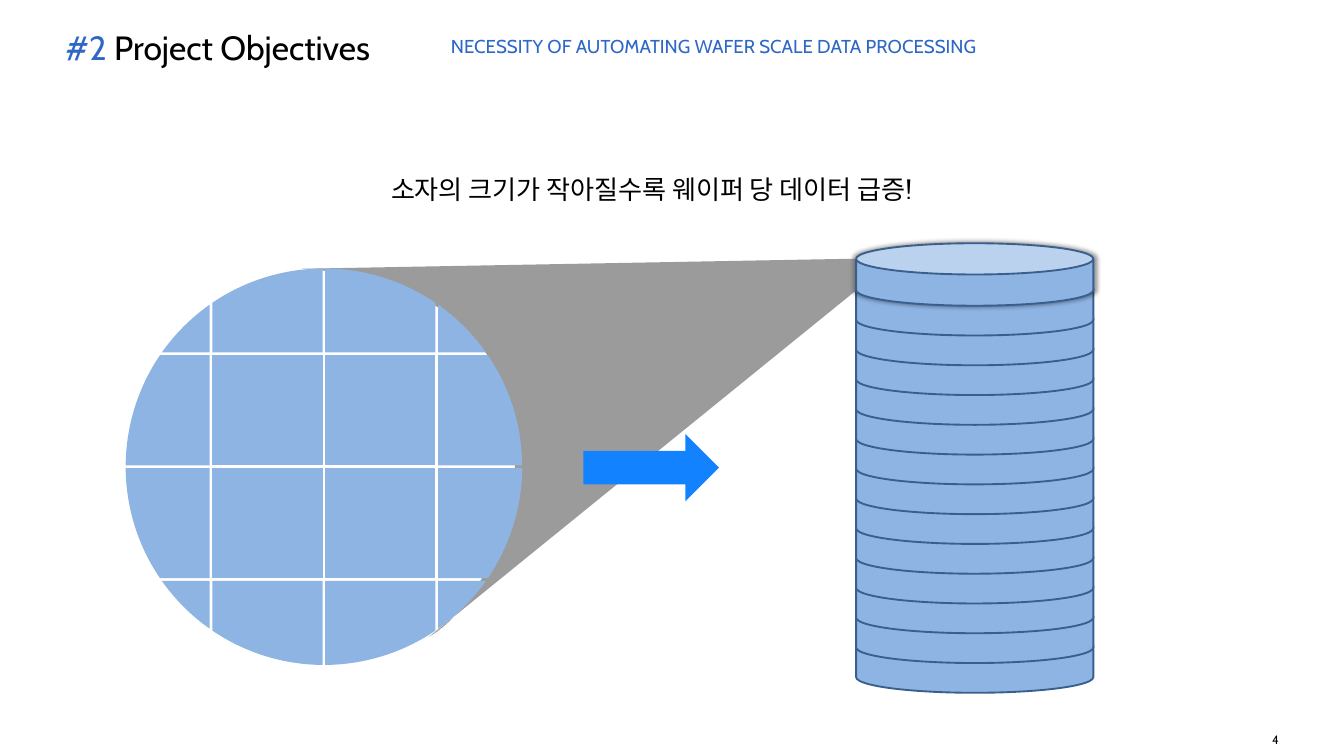
import math
from dataclasses import dataclass

from lxml import etree
from pptx import Presentation
from pptx import util as u
from pptx.dml.color import RGBColor
from pptx.enum import shapes, text
from pptx.oxml.ns import qn


@dataclass(frozen=True)
class Theme:
    font: str = "Cabin"
    accent: str = "2E67C6"
    ink: str = "000000"
    paper: str = "FFFFFF"
    wafer: str = "8EB4E3"
    edge: str = "3A5F8C"
    beam: str = "595959"
    arrow: str = "1382FF"
    title: int = 36
    message: int = 28
    subtitle: int = 20
    number: int = 13


THEME = Theme()
GROW = text.MSO_AUTO_SIZE.SHAPE_TO_FIT_TEXT


def set_all(target, values):
    for name, value in values.items():
        setattr(target, name, value)


def inches(*lengths):
    return [u.Inches(length) for length in lengths]


def paint(shape, fill, line=None, width=2):
    shape.shadow.inherit = False
    shape.fill.solid()
    shape.fill.fore_color.rgb = RGBColor.from_string(fill)
    if line:
        shape.line.color.rgb = RGBColor.from_string(line)
        shape.line.width = u.Pt(width)
    else:
        shape.line.fill.background()
    return shape


def add_shape(parent, kind, box, fill, line=None):
    return paint(parent.shapes.add_shape(kind, *inches(*box)), fill, line)


def add_outline(page, points, fill, curve_at=None):
    """Closed outline; the three points from index curve_at form a Bézier curve."""
    start, *rest = [inches(*point) for point in points]
    builder = page.shapes.build_freeform(*start)
    builder.add_line_segments(rest, close=True)
    shape = builder.convert_to_shape()
    if curve_at:
        lines = list(shape._element.iter(qn("a:lnTo")))[curve_at - 1:curve_at + 2]
        curve = etree.Element(qn("a:cubicBezTo"))
        lines[0].addprevious(curve)
        for line in lines:
            curve.append(line[0])
            line.getparent().remove(line)
    return paint(shape, fill)


def add_text(page, box, spans, size, align=text.PP_ALIGN.LEFT, **frame_format):
    frame = page.shapes.add_textbox(*inches(*box)).text_frame
    set_all(frame, {"word_wrap": True, **frame_format})
    para = frame.paragraphs[0]
    para.alignment = align
    for words, color in spans:
        span = para.add_run()
        span.text = words
        set_all(span.font, {"size": u.Pt(size), "name": THEME.font})
        span.font.color.rgb = RGBColor.from_string(color)
        etree.SubElement(span.font._element, qn("a:ea"), typeface=THEME.font)


def add_header(page, box):
    left, top, width, height = box
    title_width = 6.48
    add_text(page, (left + title_width, top + 0.13, width - title_width, 0.44),
             [("NECESSITY OF AUTOMATING WAFER SCALE DATA PROCESSING", THEME.accent)],
             THEME.subtitle, margin_left=u.Inches(0.23), auto_size=GROW)
    add_text(page, (left, top, title_width, height),
             [("#2 ", THEME.accent), ("Project Objectives", THEME.ink)],
             THEME.title, text.PP_ALIGN.CENTER, auto_size=GROW,
             vertical_anchor=text.MSO_ANCHOR.MIDDLE)


def add_stack(page, box, count=14, can_height=0.93):
    """Pile cans from the bottom up; the top one casts a shadow."""
    left, top, width, height = box
    step = (height - can_height) / (count - 1)
    stack = page.shapes.add_group_shape()
    for level in reversed(range(count)):
        can = add_shape(stack, shapes.MSO_SHAPE.CAN,
                        (left, top + level * step, width, can_height),
                        THEME.wafer, THEME.edge)
        can.adjustments[0] = 0.5
    effects = can._element.spPr.find(qn("a:effectLst"))
    shadow = etree.SubElement(effects, qn("a:outerShdw"), blurRad=str(u.Pt(5)),
                              sx="102000", sy="102000", algn="ctr", rotWithShape="0")
    color = etree.SubElement(shadow, qn("a:srgbClr"), val=THEME.ink)
    etree.SubElement(color, qn("a:alpha"), val="40000")


def add_beam(page, box):
    """Translucent projection from the wafer to the top can."""
    left, top, width, height = box
    right, bottom = left + width, top + height
    start = (left, top + 0.15)
    beam = add_outline(page, [start, (right, top), (right, top + 0.48),
                              (left + 1.88, bottom), (left + 3.29, bottom - 0.81),
                              (left + 4.51, top + 0.44), start], THEME.beam, 4)
    color = beam._element.spPr.find(qn("a:solidFill"))[0]
    etree.SubElement(color, qn("a:alpha"), val="60000")


def arc(radius, start, end):
    """Bézier points after the start of a circular arc about the origin."""
    (x1, y1), (x2, y2) = start, end
    sweep = math.atan2(y2, x2) - math.atan2(y1, x1)
    pull = 4 / 3 * math.tan(sweep / 4)
    return [(x1 - pull * y1, y1 + pull * x1), (x2 + pull * y2, y2 - pull * x2), end]


def add_wafer(page, box, die=1.64, gap=0.04):
    """Disc cut into a 4 by 4 grid: one quadrant of dies, mirrored both ways."""
    left, top, width, height = box
    radius = width / 2
    near, far = gap / 2, gap / 2 + die
    outer = far + gap
    rim_near, rim_far, rim_outer = [math.sqrt(radius ** 2 - offset ** 2)
                                    for offset in (near, far, outer)]
    inner_die = [(near, near), (far, near), (far, far), (near, far)]
    edge_die = [(near, outer), (far, outer), (far, rim_far),
                *arc(radius, (far, rim_far), (near, rim_near))]
    side_die = [(outer, near), (rim_near, near),
                *arc(radius, (rim_near, near), (rim_far, far)), (outer, far)]
    corner_die = [(outer, outer), (rim_outer, outer),
                  *arc(radius, (rim_outer, outer), (outer, rim_outer))]
    dies = [(inner_die, None), (edge_die, 3), (side_die, 2), (corner_die, 2)]
    for flip_x in (-1, 1):
        for flip_y in (-1, 1):
            for outline, curve_at in dies:
                points = [(left + radius + flip_x * x, top + height / 2 + flip_y * y)
                          for x, y in outline]
                add_outline(page, points, THEME.wafer, curve_at)


def build_page(deck):
    page = deck.slides.add_slide(deck.slide_layouts[6])
    # Headings and page number
    add_header(page, (0, 0.34, 19.37, 0.71))
    add_text(page, (16.8, 10.8, 2.33, 0.4), [("4", THEME.ink)], THEME.number,
             text.PP_ALIGN.RIGHT, vertical_anchor=text.MSO_ANCHOR.MIDDLE)
    add_text(page, (5.66, 2.53, 8.07, 0.57),
             [("소자의 크기가 작아질수록 웨이퍼 당 데이터 급증!", THEME.ink)],
             THEME.message, text.PP_ALIGN.CENTER, word_wrap=False, auto_size=GROW)
    # Data stack on its white panel
    add_shape(page, shapes.MSO_SHAPE.RECTANGLE, (10.98, 3.8, 7.03, 6.32), THEME.paper)
    add_stack(page, (12.74, 3.62, 3.53, 6.69))
    # Projection, arrow and wafer
    add_beam(page, (4.5, 3.85, 8.23, 5.63))
    add_shape(page, shapes.MSO_SHAPE.RIGHT_ARROW, (8.68, 6.46, 2.02, 1), THEME.arrow)
    add_wafer(page, (1.87, 3.99, 5.9, 5.91))


def main():
    deck = Presentation()
    set_all(deck, {"slide_width": u.Inches(20), "slide_height": u.Inches(11.25)})
    build_page(deck)
    deck.save("out.pptx")


if __name__ == "__main__":
    main()
